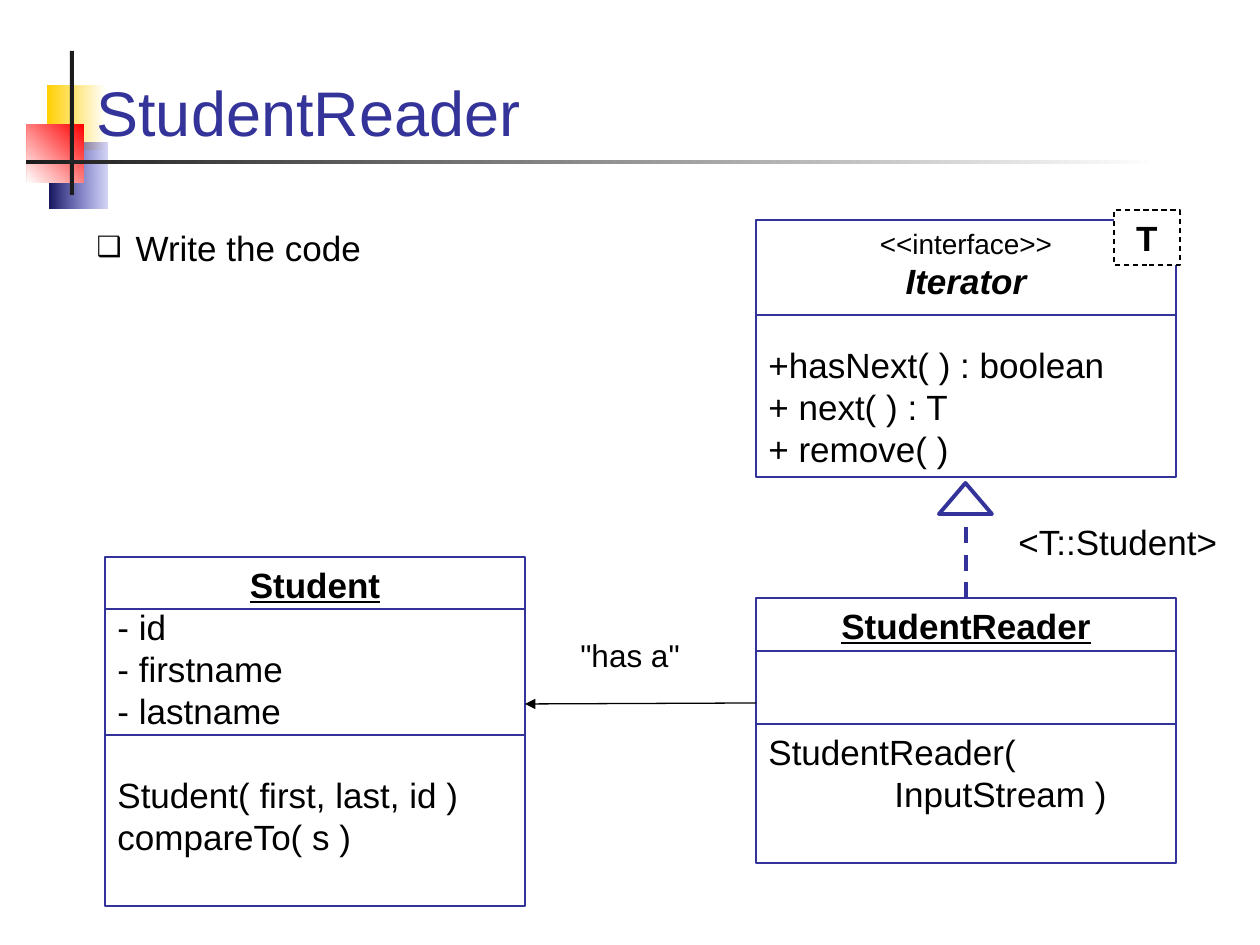
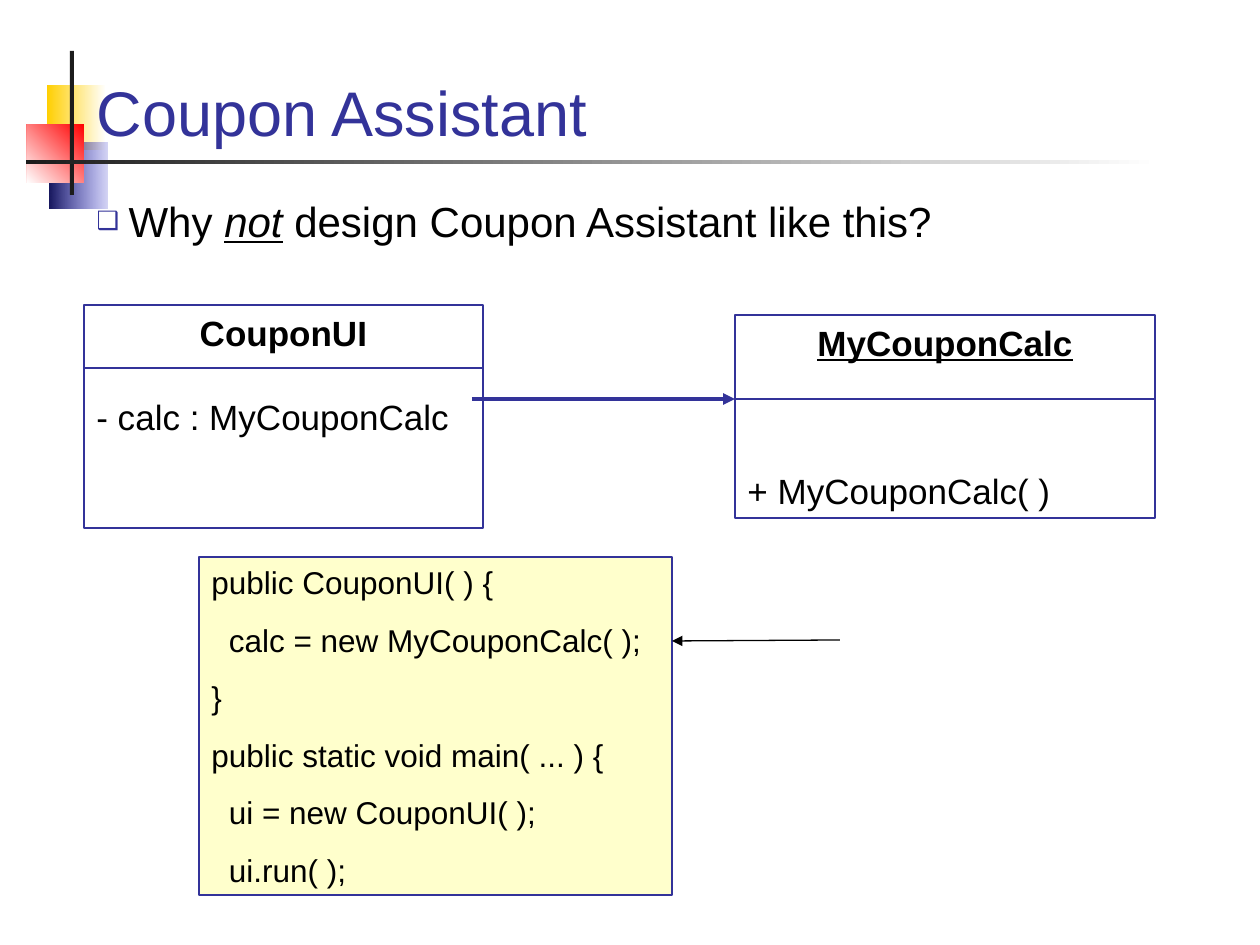
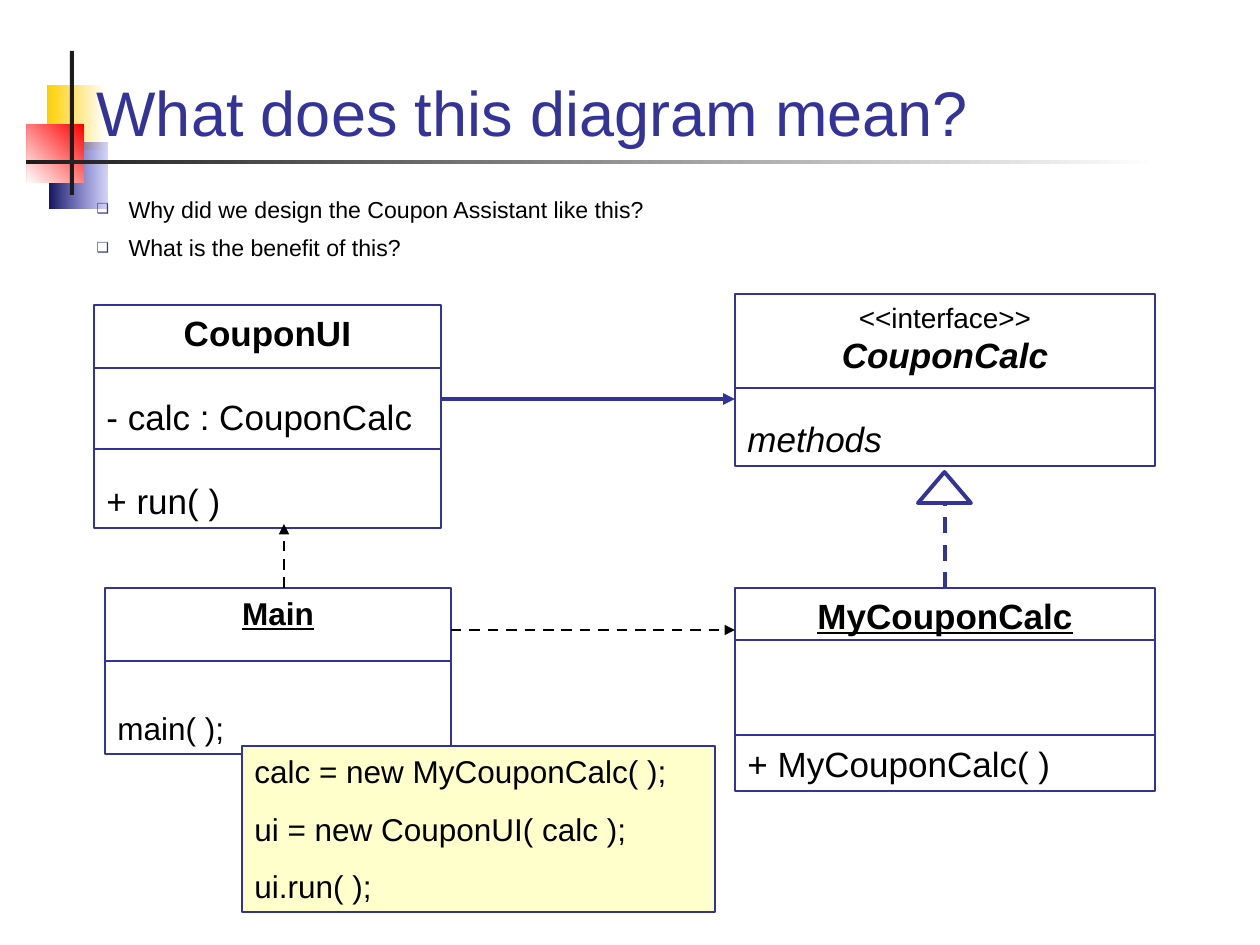
from dataclasses import dataclass

from lxml.etree import SubElement
from pptx import Presentation
from pptx.dml.color import RGBColor
from pptx.enum.dml import MSO_LINE_DASH_STYLE as Dash
from pptx.enum.shapes import MSO_CONNECTOR_TYPE as Connector, MSO_SHAPE as Preset
from pptx.enum.text import MSO_ANCHOR as Anchor, MSO_AUTO_SIZE as AutoSize, PP_ALIGN as Align
from pptx.oxml.ns import qn
from pptx.util import Emu, Pt


@dataclass(frozen=True)
class Theme:
    font: str = "Arial"
    ink: str = "000000"
    accent: str = "333399"
    note: str = "FFFFCC"
    paper: str = "FFFFFF"
    bar: str = "1C1C1C"
    title: float = 36
    text: float = 20
    code: float = 18
    stereotype: float = 16
    leading: float = 1.2
    thin: float = 0.75
    medium: float = 1.5
    thick: float = 2.25


THEME = Theme()
PX_PER_INCH = 126
ROW = THEME.text * THEME.leading  # height of one text row, in points
CODE_GAP = 11.25


@dataclass(frozen=True)
class Line:
    text: str
    size: float = THEME.text
    bold: bool = False
    italic: bool = False
    underline: bool = False
    center: bool = False
    before: float = 0
    hanging: int = 0


def heading(name, size=THEME.text, underline=True):
    return Line(name, size, bold=True, underline=underline, center=True)


def interface(name):
    return [Line("<<interface>>", THEME.stereotype, center=True),
            Line(name, bold=True, italic=True, center=True)]


def code(*rows):
    return [Line(row, THEME.code, before=CODE_GAP if i else 0) for i, row in enumerate(rows)]


# ---- Content (boxes and points in px) ----
MY_COUPON_CALC = [heading("MyCouponCalc"), Line("+ MyCouponCalc( )", before=2 * ROW + 12.5)]
BULLETS = dict(box=(84, 189, 1091, 84), indent=32, color=THEME.accent, percent=60)

SLIDES = [
    dict(
        title="StudentReader",
        bullets=dict(box=(84, 220, 609, 55), indent=39, color=THEME.ink, percent=80,
                     size=20, items=[["Write the code"]]),
        classes={
            "Iterator": dict(box=(756, 220, 420, 257), dividers=[315], lines=interface("Iterator") + [
                Line("+hasNext( ) : boolean", before=ROW), Line("+ next( ) : T"),
                Line("+ remove( )")]),
            "StudentReader": dict(box=(756, 598, 420, 265), dividers=[651, 724], lines=[
                heading("StudentReader"),
                Line("StudentReader(\vInputStream )", before=2 * ROW, hanging=126)]),
            "Student": dict(box=(105, 557, 420, 349), dividers=[609, 735], lines=[
                heading("Student"), Line("- id"), Line("- firstname"), Line("- lastname"),
                Line("Student( first, last, id )", before=ROW), Line("compareTo( s )")]),
        },
        realization=("StudentReader", "Iterator"),
        parameter=((1114, 210, 66, 55), Line("T", bold=True, center=True)),
        labels=[((1006, 514, 228, 55), Line("<T::Student>")),
                ((546, 630, 168, 50), Line('"has a"', THEME.code, center=True))],
        arrows=[((756, 703), (525, 704), THEME.ink, THEME.thin, None)],
    ),
    dict(
        title="Coupon Assistant",
        bullets=dict(BULLETS, size=24, items=[
            ["Why ", "*not", " design Coupon Assistant like this?"]]),
        classes={
            "MyCouponCalc": dict(box=(735, 315, 420, 203), dividers=[399], lines=MY_COUPON_CALC),
            "CouponUI": dict(box=(84, 305, 399, 223), dividers=[368], lines=[
                heading("CouponUI", underline=False),
                Line("- calc : MyCouponCalc", before=ROW)]),
        },
        note=((199, 557, 473, 338), code(
            "public CouponUI( ) {", "  calc = new MyCouponCalc( );", "}",
            "public static void main( ... ) {", "  ui = new CouponUI( );", "  ui.run( );")),
        arrows=[((472, 399), (735, 399), THEME.accent, THEME.thick, None),
                ((840, 640), (672, 641), THEME.ink, THEME.thin, None)],
    ),
    dict(
        title="What does this diagram mean?",
        bullets=dict(BULLETS, size=13.2, items=[
            ["Why did we design the Coupon Assistant like this?"],
            ["What is the benefit of this?"]]),
        classes={
            "CouponCalc": dict(box=(735, 294, 420, 172), dividers=[388], lines=interface("CouponCalc") + [
                Line("methods", italic=True, before=ROW)]),
            "MyCouponCalc": dict(box=(735, 588, 420, 203), dividers=[640, 735],
                                 lines=MY_COUPON_CALC),
            "CouponUI": dict(box=(94, 305, 347, 223), dividers=[368, 449], lines=[
                heading("CouponUI", underline=False),
                Line("- calc : CouponCalc", before=ROW), Line("+ run( )", before=ROW)]),
            "Main": dict(box=(105, 588, 346, 166), dividers=[661], lines=[
                heading("Main", THEME.code),
                Line("main( );", THEME.code,
                     before=2 * CODE_GAP + THEME.code * THEME.leading)]),
        },
        realization=("MyCouponCalc", "CouponCalc"),
        note=((242, 746, 473, 166), code(
            "calc = new MyCouponCalc( );", "ui = new CouponUI( calc );", "ui.run( );")),
        arrows=[((441, 399), (735, 399), THEME.accent, THEME.thick, None),
                ((284, 588), (284, 524), THEME.ink, THEME.medium, Dash.DASH),
                ((451, 630), (735, 630), THEME.ink, THEME.medium, Dash.DASH)],
    ),
]

# Master ornament: box, colours from start to end, clockwise angle, opacity of the start
ORNAMENT = [
    ((47, 85, 59, 65), ("FFFFFF", "FFCF01"), 180, 100),
    ((49, 143, 58, 66), ("3333CC", "17175E"), 180, 20),
    ((27, 124, 57, 59), ("FF0000", "FFFFFF"), 135, 100),
    ((70, 51, 4, 144), (THEME.bar, THEME.bar), 0, 100),
    ((26, 160, 1133, 4), (THEME.paper, THEME.bar), 180, 100),
]


# ---- Drawing helpers ----
def px(*values):
    return [Emu(round(value * 914400 / PX_PER_INCH)) for value in values]


def rgb(color):
    return RGBColor.from_string(color)


def set_font(font, size, color=THEME.ink):
    font.name, font.size = THEME.font, Pt(size)
    font.color.rgb = rgb(color)


def place(shape, box):
    shape.left, shape.top, shape.width, shape.height = px(*box)


def set_outline(line, color, width, dash=None):
    line.color.rgb, line.width = rgb(color), Pt(width)
    if dash:
        line.dash_style = dash


def set_indent(paragraph, distance):
    props = paragraph._p.get_or_add_pPr()
    left, = px(distance)
    props.set("marL", str(left))
    props.set("indent", str(-left))
    return props


def write(shape, lines):
    frame = shape.text_frame
    frame.word_wrap, frame.vertical_anchor = True, Anchor.TOP
    for i, line in enumerate(lines):
        paragraph = frame.add_paragraph() if i else frame.paragraphs[0]
        paragraph.text = line.text
        paragraph.alignment = Align.CENTER if line.center else Align.LEFT
        paragraph.line_spacing = Pt(line.size * THEME.leading)
        if line.before:
            paragraph.space_before = Pt(line.before)
        if line.hanging:
            set_indent(paragraph, line.hanging)
        font = paragraph.font
        set_font(font, line.size)
        font.bold, font.italic, font.underline = line.bold, line.italic, line.underline


def add_box(slide, box, fill=None, color=THEME.accent, width=THEME.thin, dash=None,
            preset=Preset.RECTANGLE):
    shape = slide.shapes.add_shape(preset, *px(*box))
    shape.shadow.inherit = False
    if fill:
        shape.fill.solid()
        shape.fill.fore_color.rgb = rgb(fill)
    else:
        shape.fill.background()
    set_outline(shape.line, color, width, dash)
    return shape


def add_line(slide, start, end, color=THEME.accent, width=THEME.thin, dash=None, arrow=False):
    line = slide.shapes.add_connector(Connector.STRAIGHT, *px(*start, *end))
    set_outline(line.line, color, width, dash)
    props = line.element.spPr
    if arrow:
        SubElement(props.find(qn("a:ln")), qn("a:tailEnd"), type="triangle")
    SubElement(props, qn("a:effectLst"))
    return line


# ---- Slide parts ----
def add_ornament(slide, master):
    """Draw the ornament on a slide, then move it behind everything on the master."""
    for i, (box, colors, angle, opacity) in enumerate(ORNAMENT):
        shape = slide.shapes.add_shape(Preset.RECTANGLE, *px(*box))
        shape.shadow.inherit = False
        shape.line.fill.background()
        if colors[0] == colors[1]:
            shape.fill.solid()
            shape.fill.fore_color.rgb = rgb(colors[0])
        else:
            shape.fill.gradient()
            shape.fill.gradient_angle = 360 - angle
            for stop, color, position in zip(shape.fill.gradient_stops, colors, (0, 1)):
                stop.color.rgb, stop.position = rgb(color), position
        if opacity < 100:
            start = next(shape.element.iter(qn("a:srgbClr")))
            SubElement(start, qn("a:alpha"), val=str(opacity * 1000))
        shape.element.nvSpPr.cNvPr.set("id", str(101 + i))
        master.shapes.element.insert(2 + i, shape.element)


def add_title(slide, text):
    title = slide.shapes.title
    place(title, (84, 35, 1091, 120))
    frame = title.text_frame
    frame.text, frame.vertical_anchor, frame.auto_size = text, Anchor.BOTTOM, AutoSize.NONE
    frame.paragraphs[0].alignment = Align.LEFT
    set_font(frame.paragraphs[0].font, THEME.title, THEME.accent)


def add_bullets(slide, box, indent, color, percent, size, items):
    body = slide.placeholders[1]
    place(body, box)
    frame = body.text_frame
    frame.auto_size = AutoSize.NONE
    for i, parts in enumerate(items):
        paragraph = frame.add_paragraph() if i else frame.paragraphs[0]
        props = set_indent(paragraph, indent)
        SubElement(SubElement(props, qn("a:buClr")), qn("a:srgbClr"), val=color)
        SubElement(props, qn("a:buSzPct"), val=str(percent * 1000))
        SubElement(props, qn("a:buChar"), char="❑")
        paragraph.line_spacing = Pt(size * THEME.leading)
        paragraph.space_before = Pt(6 if i else 0)
        set_font(paragraph.font, size)
        for part in parts:
            run = paragraph.add_run()
            run.text = part.lstrip("*")
            if part.startswith("*"):
                run.font.italic = run.font.underline = True


def add_class(slide, box, dividers, lines):
    class_box = add_box(slide, box)
    write(class_box, lines)
    left, _, width, _ = box
    for y in dividers:
        add_line(slide, (left, y), (left + width, y))
    return class_box


def add_realization(slide, child, child_box, parent_box):
    """Dashed line from the child up to a hollow triangle below the parent."""
    left, top, width, _ = child_box
    middle = left + width // 2
    tip = parent_box[1] + parent_box[3] + 6
    stem = add_line(slide, (middle, top), (middle, tip + 31), width=THEME.thick, dash=Dash.DASH)
    stem.begin_connect(child, 0)
    add_box(slide, (middle - 27, tip, 53, 31), width=THEME.thick,
            preset=Preset.ISOSCELES_TRIANGLE)


def build_slide(slide, content):
    add_title(slide, content["title"])
    add_bullets(slide, **content["bullets"])
    classes = content["classes"]
    drawn = {name: add_class(slide, **parts) for name, parts in classes.items()}
    if "realization" in content:
        child, parent = content["realization"]
        add_realization(slide, drawn[child], classes[child]["box"], classes[parent]["box"])
    if "parameter" in content:
        box, line = content["parameter"]
        write(add_box(slide, box, THEME.paper, THEME.ink, dash=Dash.DASH), [line])
    for box, line in content.get("labels", []):
        write(slide.shapes.add_textbox(*px(*box)), [line])
    if "note" in content:
        box, lines = content["note"]
        write(add_box(slide, box, THEME.note), lines)
    for start, end, color, width, dash in content["arrows"]:
        add_line(slide, start, end, color, width, dash, arrow=True)


def main():
    deck = Presentation()
    deck.slide_width, deck.slide_height = px(1260, 945)
    for i, content in enumerate(SLIDES):
        slide = deck.slides.add_slide(deck.slide_layouts[1])
        if i == 0:
            add_ornament(slide, deck.slide_master)
        build_slide(slide, content)
    deck.save("out.pptx")


if __name__ == "__main__":
    main()
